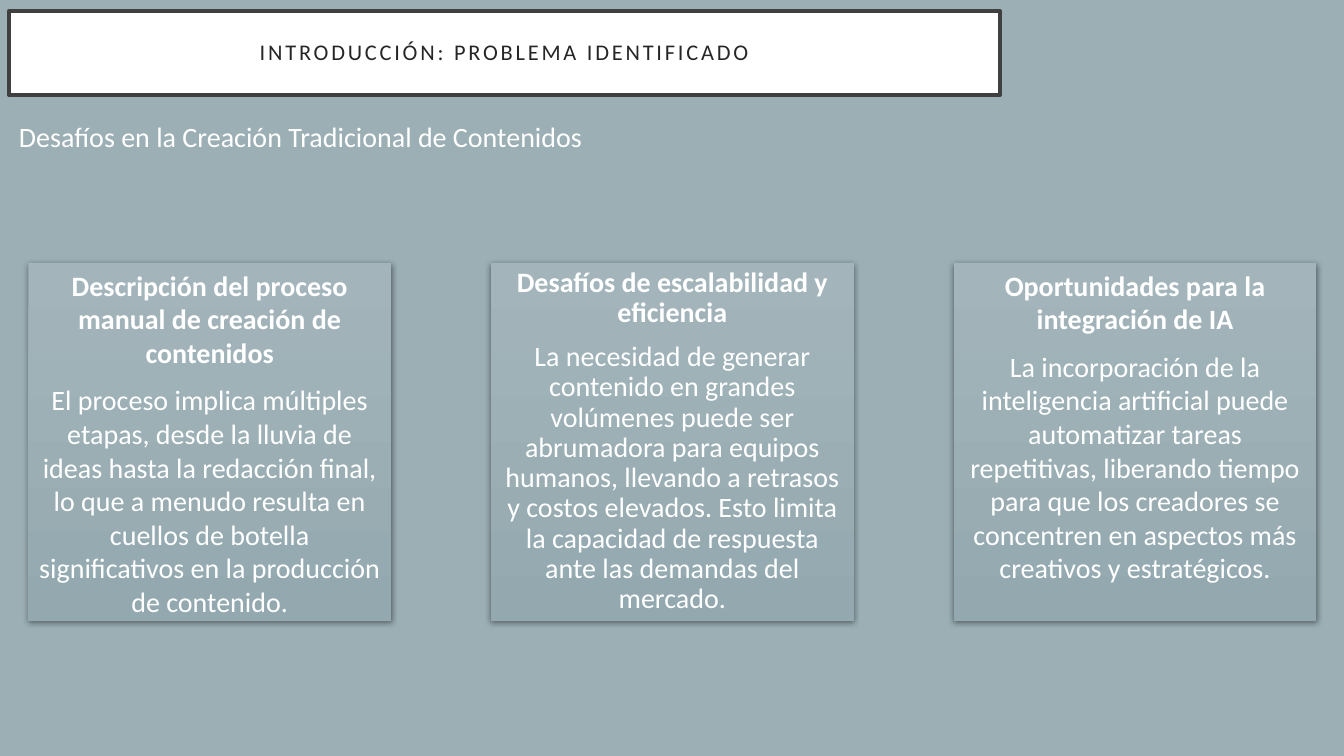
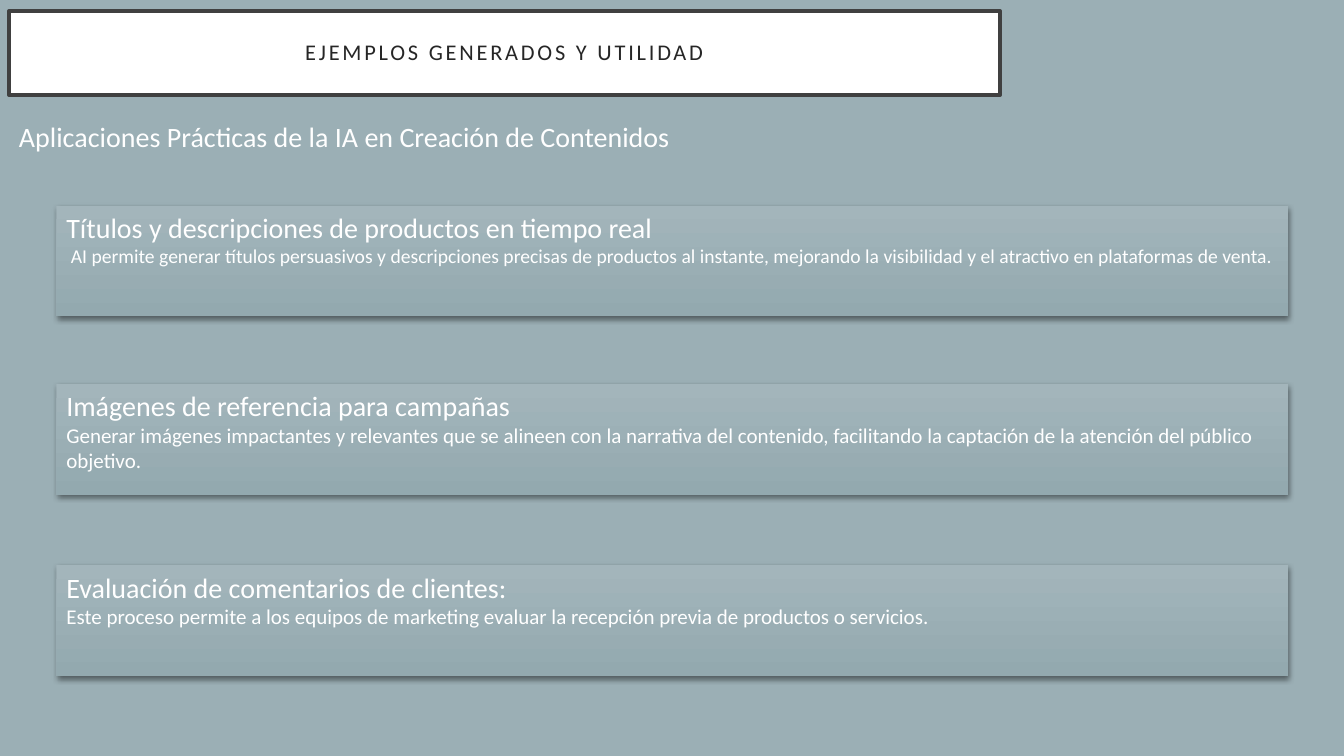
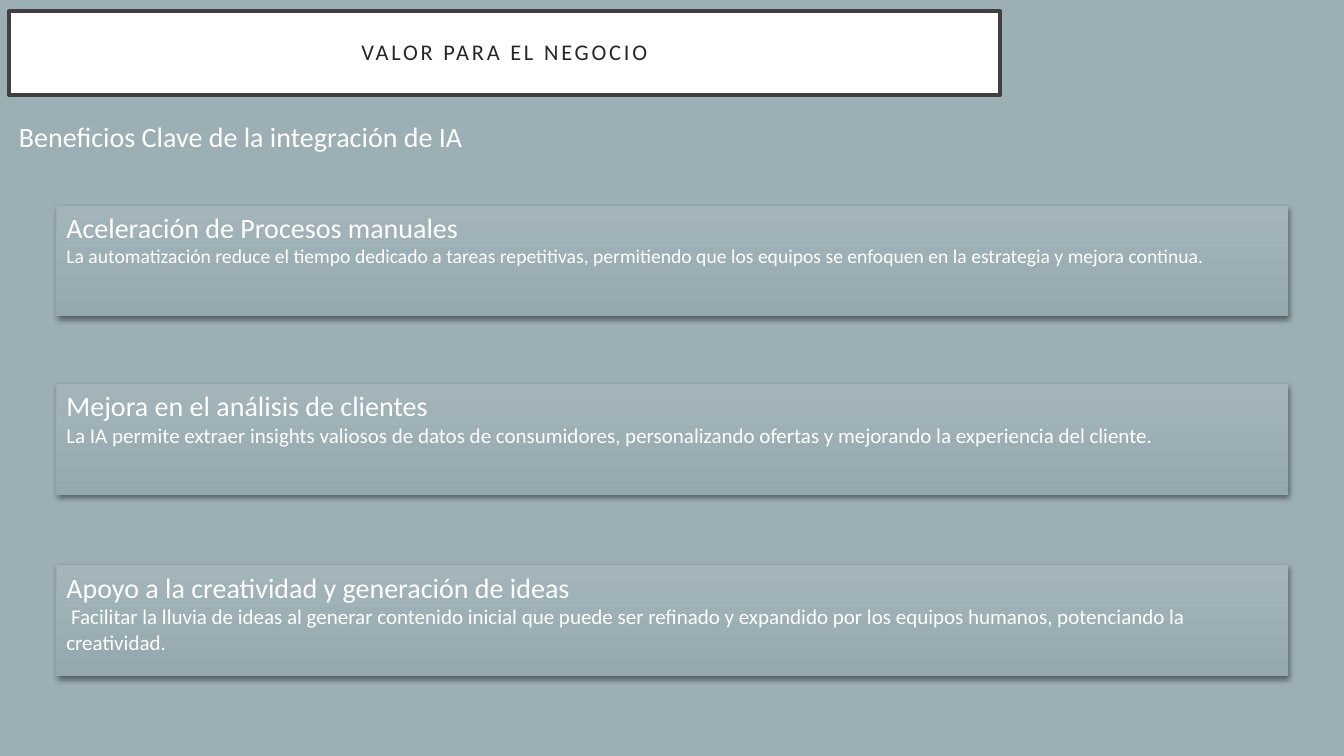
from dataclasses import dataclass
from lxml import etree
from pptx import Presentation
from pptx.dml.color import RGBColor
from pptx.enum import shapes, text
from pptx.oxml import ns
from pptx.util import Pt


# Theme
@dataclass(frozen=True)
class Theme:
    font: str = "Calibri"
    back: str = "9BAFB5"
    light: str = "A3B5BB"
    dark: str = "93A9AF"
    white: str = "FFFFFF"
    edge: str = "404040"
    ink: str = "262626"
    title: int = 16
    body: int = 20


T = Theme()
MID, TOP = text.MSO_ANCHOR.MIDDLE, text.MSO_ANCHOR.TOP
LEFT, MIDDLE = text.PP_ALIGN.LEFT, text.PP_ALIGN.CENTER

# Content: columns hold (head, body, line spacing), rows hold (head, body, body size)
SLIDES = [
    dict(
        title="INTRODUCCIÓN: PROBLEMA IDENTIFICADO",
        sub="Desafíos en la Creación Tradicional de Contenidos",
        cols=[
            ("Descripción del proceso manual de creación de contenidos",
             "El proceso implica múltiples etapas, desde la lluvia de ideas hasta la "
             "redacción final, lo que a menudo resulta en cuellos de botella "
             "significativos en la producción de contenido.", 1.0),
            ("Desafíos de escalabilidad y eficiencia",
             "La necesidad de generar contenido en grandes volúmenes puede ser "
             "abrumadora para equipos humanos, llevando a retrasos y costos elevados. "
             "Esto limita la capacidad de respuesta ante las demandas del mercado.", 0.9),
            ("Oportunidades para la integración de IA",
             "La incorporación de la inteligencia artificial puede automatizar tareas "
             "repetitivas, liberando tiempo para que los creadores se concentren en "
             "aspectos más creativos y estratégicos.", 1.0),
        ],
    ),
    dict(
        title="EJEMPLOS GENERADOS Y UTILIDAD",
        sub="Aplicaciones Prácticas de la IA en Creación de Contenidos",
        rows=[
            ("Títulos y descripciones de productos en tiempo real",
             " AI permite generar títulos persuasivos y descripciones precisas de "
             "productos al instante, mejorando la visibilidad y el atractivo en "
             "plataformas de venta.", 14),
            ("Imágenes de referencia para campañas",
             "Generar imágenes impactantes y relevantes que se alineen con la narrativa "
             "del contenido, facilitando la captación de la atención del público "
             "objetivo.", 15),
            ("Evaluación de comentarios de clientes:",
             "Este proceso permite a los equipos de marketing evaluar la recepción "
             "previa de productos o servicios.", 15),
        ],
    ),
    dict(
        title="VALOR PARA EL NEGOCIO",
        sub="Beneficios Clave de la integración de IA",
        rows=[
            ("Aceleración de Procesos manuales",
             "La automatización reduce el tiempo dedicado a tareas repetitivas, "
             "permitiendo que los equipos se enfoquen en la estrategia y mejora "
             "continua.", 14),
            ("Mejora en el análisis de clientes",
             "La IA permite extraer insights valiosos de datos de consumidores, "
             "personalizando ofertas y mejorando la experiencia del cliente.", 15),
            ("Apoyo a la creatividad y generación de ideas",
             " Facilitar la lluvia de ideas al generar contenido inicial que puede ser "
             "refinado y expandido por los equipos humanos, potenciando la "
             "creatividad.", 15),
        ],
    ),
]

# Layout in points: left, top, width, height
TITLE = (6.5, 7.9, 707.8, 59.8)
SUB = (6.5, 82, 535.7, 38.2)
COL, STEP = (20.2, 187.9, 259.2, 255.6), 330.5
ROW, TOPS = (40.3, 79.2, 879.8), (146.9, 274.3, 403.9)


# Helpers
def rgb(code):
    return RGBColor.from_string(code)


def put(obj, **vals):
    for key, val in vals.items():
        setattr(obj, key, val)


def write(par, words, size=T.body, color=T.white, bold=False):
    run = par.add_run()
    run.text = words
    put(run.font, name=T.font, size=Pt(size), bold=bold)
    run.font.color.rgb = rgb(color)
    return run


def rect(slide, box):
    shape = slide.shapes.add_shape(shapes.MSO_SHAPE.RECTANGLE, *map(Pt, box))
    shape.shadow.inherit = False
    return shape


def add_title(slide, words):
    shape = rect(slide, TITLE)
    shape.fill.solid()
    shape.fill.fore_color.rgb = rgb(T.white)
    shape.line.color.rgb = rgb(T.edge)
    shape.line.width = Pt(3)
    frame = shape.text_frame
    put(frame, word_wrap=True, vertical_anchor=MID,
        margin_left=Pt(21.6), margin_right=Pt(21.6),
        margin_top=Pt(14.4), margin_bottom=Pt(14.4))
    par = frame.paragraphs[0]
    put(par, alignment=MIDDLE, line_spacing=0.9)
    run = write(par, words, T.title, T.ink)
    run.font._element.set("spc", "200")


def add_sub(slide, words):
    frame = slide.shapes.add_textbox(*map(Pt, SUB)).text_frame
    frame.word_wrap = True
    par = frame.paragraphs[0]
    par.space_before = Pt(10)
    write(par, words)


def add_card(slide, box):
    card = rect(slide, box)
    card.fill.gradient()
    card.fill.gradient_angle = 270
    for stop, code in zip(card.fill.gradient_stops, (T.light, T.dark)):
        stop.color.rgb = rgb(code)
    card.line.fill.background()
    # Soft shadow below
    glow = card._element.spPr.find(ns.qn("a:effectLst"))
    outer = etree.SubElement(glow, ns.qn("a:outerShdw"), blurRad=str(Pt(4.4)),
                             dist=str(Pt(1.2)), dir="5400000", rotWithShape="0")
    tint = etree.SubElement(outer, ns.qn("a:srgbClr"), val="000000")
    etree.SubElement(tint, ns.qn("a:alpha"), val="45000")
    put(card.text_frame, word_wrap=True, vertical_anchor=TOP)
    return card.text_frame


def add_cols(slide, cols):
    left, top, wide, high = COL
    for i, (head, body, gap) in enumerate(cols):
        frame = add_card(slide, (left + i * STEP, top, wide, high))
        pars = frame.paragraphs[0], frame.add_paragraph()
        for par, words, bold in zip(pars, (head, body), (True, False)):
            put(par, alignment=MIDDLE, line_spacing=gap, space_before=Pt(10))
            write(par, words, bold=bold)


def add_rows(slide, rows):
    left, high, wide = ROW
    for top, (head, body, size) in zip(TOPS, rows):
        par = add_card(slide, (left, top, wide, high)).paragraphs[0]
        put(par, alignment=LEFT, space_before=Pt(10))
        write(par, head)
        par.add_line_break()
        write(par, body, size)


# Build
def main():
    deck = Presentation()
    put(deck, slide_width=Pt(960), slide_height=Pt(540))
    fill = deck.slide_master.background.fill
    fill.solid()
    fill.fore_color.rgb = rgb(T.back)
    for data in SLIDES:
        slide = deck.slides.add_slide(deck.slide_layouts[6])
        add_title(slide, data["title"])
        add_sub(slide, data["sub"])
        add_cols(slide, data.get("cols", []))
        add_rows(slide, data.get("rows", []))
    deck.save("out.pptx")


if __name__ == "__main__":
    main()
